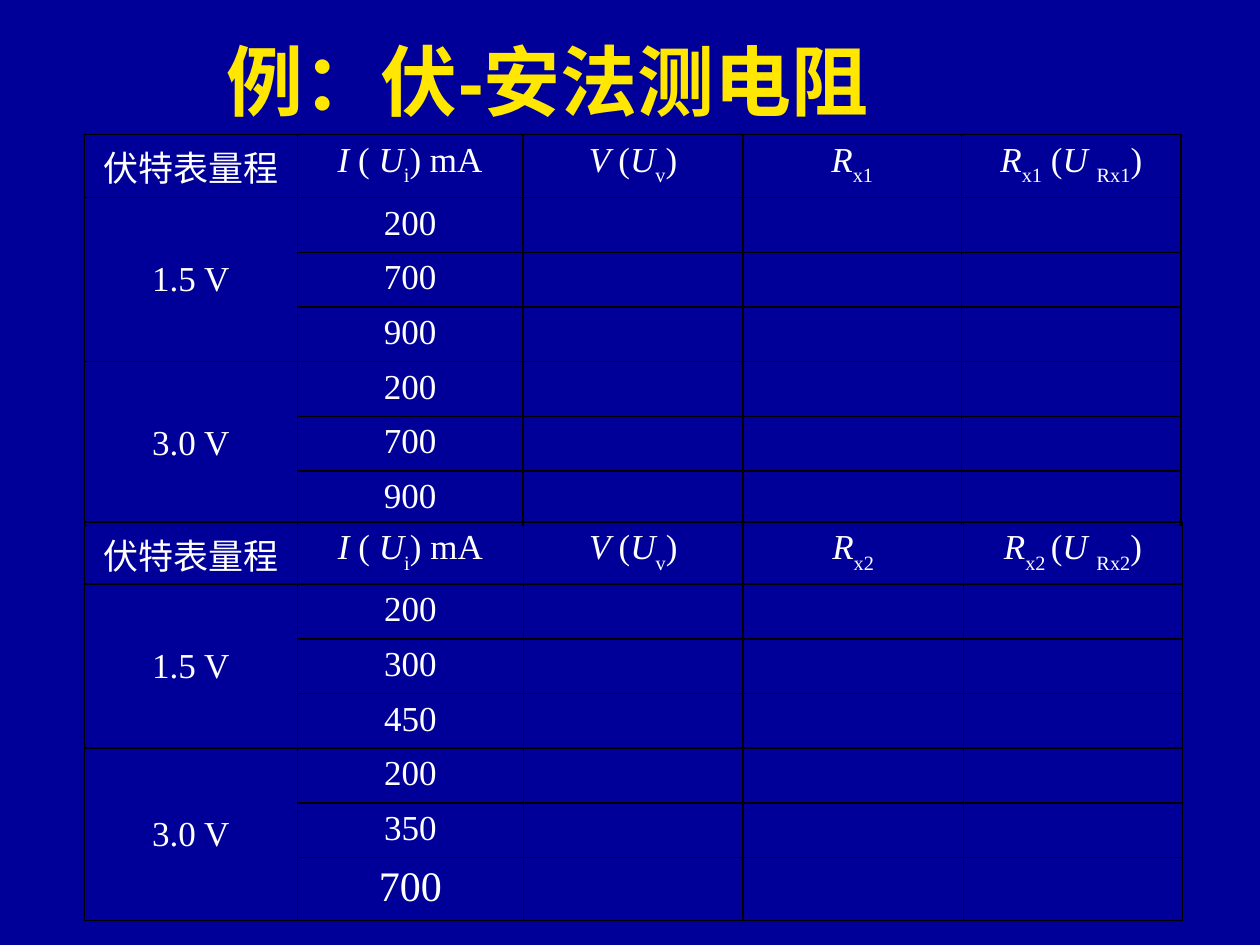
from lxml.etree import SubElement
from pptx import Presentation
from pptx.dml.color import RGBColor
from pptx.enum.text import MSO_ANCHOR, MSO_AUTO_SIZE, PP_ALIGN
from pptx.oxml.ns import qn
from pptx.util import Pt

NAVY = RGBColor(0x00, 0x00, 0x99)
GOLD = RGBColor(0xFF, 0xE7, 0x01)
WHITE = RGBColor(0xFF, 0xFF, 0xFF)
BLACK = RGBColor(0x00, 0x00, 0x00)

HEAD = {"size": Pt(44), "name": "Arial", "bold": True}
BODY = {"size": Pt(20), "name": "Times New Roman", "italic": False}
LAST = {"size": Pt(24)}
VAR = {"italic": True}
TOP, ROW, TALL = 77, 31.14, 36


def style(font, color, *looks):
    """Apply format values and a colour to a font."""
    for look in looks:
        for key, value in look.items():
            setattr(font, key, value)
    font.color.rgb = color


def write(cell, parts, look=None):
    """Write centred runs, each a text with a kind: plain, var or sub."""
    para = cell.text_frame.paragraphs[0]
    para.alignment = PP_ALIGN.CENTER
    for text, kind in parts:
        run = para.add_run()
        run.text = text
        style(run.font, WHITE, BODY, VAR if kind == "var" else {}, look or {})
        if kind == "sub":
            run.font._element.set("baseline", "-30000")


def frame(cell):
    """Give a cell thin black borders and no fill."""
    props = cell._tc.get_or_add_tcPr()
    for side in ("lnL", "lnR", "lnT", "lnB"):
        line = SubElement(props, qn(f"a:{side}"), w=str(Pt(1)))
        fill = SubElement(line, qn("a:solidFill"))
        SubElement(fill, qn("a:srgbClr"), val=str(BLACK))
    cell.fill.background()


def labels(index, gap):
    """Return the header runs for one resistor."""
    sub = f"x{index}"
    return [
        [("伏特表量程", "")],
        [("I", "var"), (" ( ", ""), ("U", "var"), ("i", "sub"), (") mA", "")],
        [("V ", "var"), ("(", ""), ("U", "var"), ("v", "sub"), (")", "")],
        [("R", "var"), (sub, "sub")],
        [("R", "var"), *gap, ("U ", "var"), (f"R{sub}", "sub"), (")", "")],
    ]


def add_grid(slide, top, widths, heights, heads, groups, last=None):
    """Add one table of currents grouped by voltmeter range."""
    shape = slide.shapes.add_table(len(heights), len(widths), Pt(48.2), Pt(top),
                                   Pt(sum(widths)), Pt(sum(heights)))
    table = shape.table
    table.first_row = table.horz_banding = False
    for col, width in zip(table.columns, widths):
        col.width = Pt(width)
    for row, height in zip(table.rows, heights):
        row.height = Pt(height)
    for cell in table.iter_cells():
        frame(cell)
    for col, parts in enumerate(heads):
        write(table.cell(0, col), parts)
    row = 1
    for volts, amps in groups:
        span = table.cell(row, 0)
        span.merge(table.cell(row + len(amps) - 1, 0))
        span.vertical_anchor = MSO_ANCHOR.MIDDLE
        write(span, [(volts, "")])
        for value in amps:
            look = last if row == len(heights) - 1 else None
            write(table.cell(row, 1), [(value, "")], look)
            row += 1


def add_title(slide, text):
    """Place and format the title placeholder."""
    title = slide.shapes.title
    box = {"left": Pt(122.4), "top": Pt(15.8), "width": Pt(476.6), "height": Pt(60.5)}
    for key, value in box.items():
        setattr(title, key, value)
    body = title.text_frame
    body.text = text
    body.auto_size = MSO_AUTO_SIZE.SHAPE_TO_FIT_TEXT
    body.vertical_anchor = MSO_ANCHOR.TOP
    para = body.paragraphs[0]
    para.alignment = PP_ALIGN.LEFT
    para.space_before = Pt(0)
    style(para.runs[0].font, GOLD, HEAD)


def main():
    """Build the slide and save it."""
    deck = Presentation()
    deck.slide_width, deck.slide_height = Pt(720), Pt(540)
    slide = deck.slides.add_slide(deck.slide_layouts[5])
    slide.background.fill.solid()
    slide.background.fill.fore_color.rgb = NAVY
    add_title(slide, "例：伏-安法测电阻")
    add_grid(slide, 298.3, [121.7, 129.3, 125.4, 126, 125.2],
             [ROW] * 6 + [TALL], labels(2, [("x2 ", "sub"), ("(", "")]),
             [("1.5 V", ["200", "300", "450"]), ("3.0 V", ["200", "350", "700"])], LAST)
    add_grid(slide, TOP, [121.7, 129, 125.7, 124.9, 125.5],
             [TALL] + [ROW] * 6, labels(1, [("x1", "sub"), (" (", "")]),
             [("1.5 V", ["200", "700", "900"]), ("3.0 V", ["200", "700", "900"])])
    deck.save("out.pptx")


if __name__ == "__main__":
    main()
